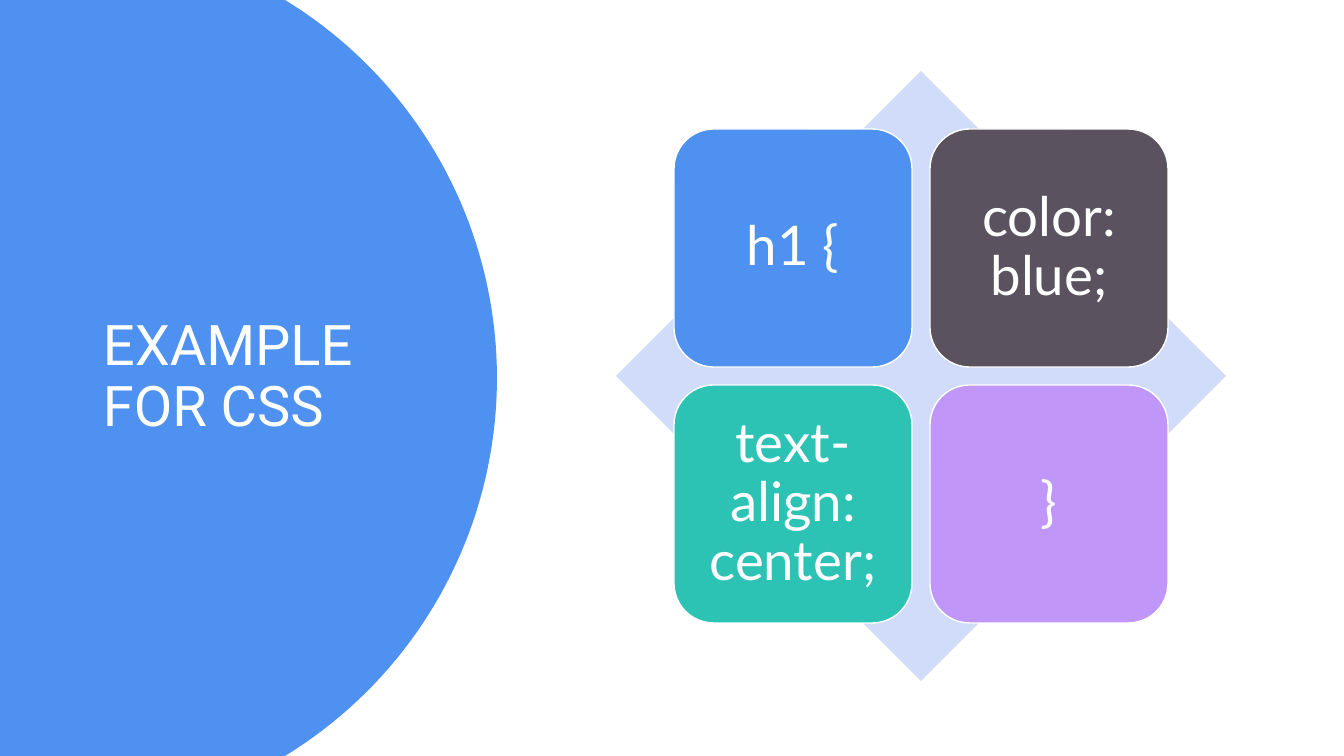
from math import asin, cos, sin

from pptx import Presentation
from pptx.dml.color import RGBColor
from pptx.enum.shapes import MSO_SHAPE
from pptx.enum.text import MSO_ANCHOR, MSO_AUTO_SIZE, PP_ALIGN
from pptx.util import Pt

DIAMOND, ROUNDED = MSO_SHAPE.DIAMOND, MSO_SHAPE.ROUNDED_RECTANGLE
MIDDLE, NO_FIT = MSO_ANCHOR.MIDDLE, MSO_AUTO_SIZE.NONE
LEFT, CENTER = PP_ALIGN.LEFT, PP_ALIGN.CENTER

SCALE = 914400 / 100.8
COLORS = {
    "white": "FFFFFF",
    "blue": "4E91F0",
    "slate": "5B5260",
    "teal": "2CC3B4",
    "violet": "C097F8",
    "pale": "D0DCF9",
}
TILES = [
    ("h1 {", "blue"),
    ("color: blue;", "slate"),
    ("text-align: center;", "teal"),
    ("}", "violet"),
]


def px(length):
    return round(length * SCALE)


def color(name):
    return RGBColor.from_string(COLORS[name])


def paint(shape, fill, outline=None):
    shape.shadow.inherit = False
    shape.fill.solid()
    shape.fill.fore_color.rgb = color(fill)
    if outline:
        shape.line.color.rgb = color(outline)
        shape.line.width = Pt(1)
    else:
        shape.line.fill.background()


def write(shape, text, font, size, align, inset):
    frame = shape.text_frame
    frame.text = text
    frame_format = {"word_wrap": True, "auto_size": NO_FIT, "vertical_anchor": MIDDLE}
    for side in ("left", "top", "right", "bottom"):
        frame_format[f"margin_{side}"] = px(inset)
    para = frame.paragraphs[0]
    span = para.runs[0]
    formats = [
        (frame, frame_format),
        (para, {"alignment": align, "line_spacing": 0.9}),
        (span.font, {"name": font, "size": Pt(size), "bold": False}),
    ]
    for target, values in formats:
        for key, value in values.items():
            setattr(target, key, value)
    span.font.color.rgb = color("white")


def add_title_panel(page, left, top, width, height):
    """Blue panel whose right side is an arc, with the title on it."""
    radius, steps = 443, 80
    center_x, center_y = left + width - radius, top + height / 2
    half_angle = asin(height / 2 / radius)
    angles = [half_angle * (2 * step / steps - 1) for step in range(steps + 1)]
    arc = [
        (px(center_x + radius * cos(angle)), px(center_y + radius * sin(angle)))
        for angle in angles
    ]
    builder = page.shapes.build_freeform(px(left), px(top))
    builder.add_line_segments(arc + [(px(left), px(top + height))], close=True)
    panel = builder.convert_to_shape()
    paint(panel, "blue")

    title = page.shapes.title
    title._element.addprevious(panel._element)
    title.left, title.top = px(left + 93), px(top + 71)
    title.width, title.height = px(326), px(height - 142)
    write(title, "EXAMPLE FOR CSS", "Roboto", 40, LEFT, 10)


def add_code_matrix(page, left, top, size):
    """Diamond with two rows of two code tiles centred on it."""
    diamond = page.shapes.add_shape(DIAMOND, px(left), px(top), px(size), px(size))
    paint(diamond, "pale")
    tile_size, pitch = 238, 256
    margin = (size - tile_size - pitch) / 2
    for index, (text, fill) in enumerate(TILES):
        row, column = divmod(index, 2)
        tile = page.shapes.add_shape(
            ROUNDED,
            px(left + margin + column * pitch),
            px(top + margin + row * pitch),
            px(tile_size),
            px(tile_size),
        )
        paint(tile, fill, "white")
        write(tile, text, "Lato", 39, CENTER, 16)


def main():
    deck = Presentation()
    deck.slide_width, deck.slide_height = px(1344), px(756)
    page = deck.slides.add_slide(deck.slide_layouts.get_by_name("Title Only"))
    add_title_panel(page, 0, 0, 497, 756)
    add_code_matrix(page, 616, 71, 610)
    deck.save("out.pptx")


if __name__ == "__main__":
    main()
